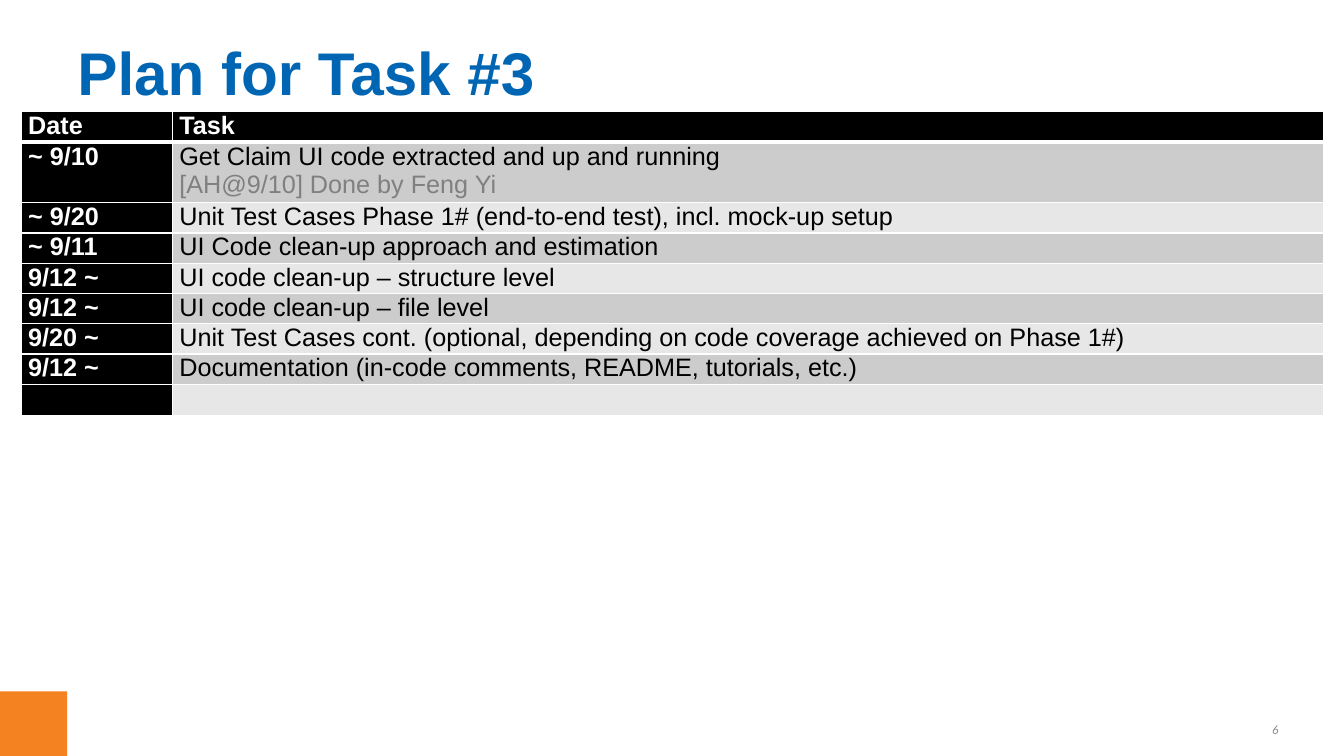
import pptx
import pptx.dml.color
import pptx.enum.shapes
import pptx.enum.text
import pptx.oxml
import pptx.oxml.ns
import pptx.util
from lxml import etree

SLIDE_WIDTH, SLIDE_HEIGHT = 13.33, 7.5
LINE_HEIGHT = 0.28
MIDDLE = pptx.enum.text.MSO_ANCHOR.MIDDLE
RIGHT = pptx.enum.text.PP_ALIGN.RIGHT

TITLE_FORMAT = {"name": "Arial", "size": 43, "bold": True, "color": "0066B3"}
NUMBER_FORMAT = {"name": "Calibri", "size": 9, "italic": True, "color": "8C8C8C"}
HEADING_FORMAT = {"name": "Arial", "size": 18, "bold": True, "color": "FFFFFF"}
TASK_FORMAT = {"name": "Arial", "size": 18, "bold": False, "color": "000000"}
REMARK_FORMAT = {**TASK_FORMAT, "color": "808080"}

PLAN = [
    ("Date", ["Task"]),
    ("~ 9/10", ["Get Claim UI code extracted and up and running",
                "[AH@9/10] Done by Feng Yi"]),
    ("~ 9/20", ["Unit Test Cases Phase 1# (end-to-end test), incl. mock-up setup"]),
    ("~ 9/11", ["UI Code clean-up approach and estimation"]),
    ("9/12 ~", ["UI code clean-up – structure level"]),
    ("9/12 ~", ["UI code clean-up – file level"]),
    ("9/20 ~", ["Unit Test Cases cont. (optional, depending on code coverage "
                "achieved on Phase 1#)"]),
    ("9/12 ~", ["Documentation (in-code comments, README, tutorials, etc.)"]),
    ("", [""]),
]


def color(hex_value):
    return pptx.dml.color.RGBColor.from_string(hex_value)


def inches(box):
    return [pptx.util.Inches(length) for length in box]


def write(paragraph, text, text_format):
    if not text:
        end = etree.SubElement(paragraph._p, pptx.oxml.ns.qn("a:endParaRPr"))
        end.set("sz", str(text_format["size"] * 100))
        return
    run = paragraph.add_run()
    run.text = text
    for attribute, value in text_format.items():
        if attribute == "color":
            run.font.color.rgb = color(value)
        elif attribute == "size":
            run.font.size = pptx.util.Pt(value)
        else:
            setattr(run.font, attribute, value)


def add_label(slide, box, text, text_format, alignment=None):
    frame = slide.shapes.add_textbox(*inches(box)).text_frame
    frame.word_wrap = True
    frame.vertical_anchor = MIDDLE
    frame.paragraphs[0].alignment = alignment
    write(frame.paragraphs[0], text, text_format)


def add_corner(slide, box):
    corner = slide.shapes.add_shape(
        pptx.enum.shapes.MSO_SHAPE.RECTANGLE, *inches(box))
    corner.shadow.inherit = False
    corner.fill.solid()
    corner.fill.fore_color.rgb = color("F58220")
    corner.line.fill.background()


def set_borders(cell, widths):
    properties = cell._tc.get_or_add_tcPr()
    for position, (side, width) in enumerate(widths.items()):
        border = pptx.oxml.parse_xml(
            f'<a:ln{side} {pptx.oxml.ns.nsdecls("a")} w="{pptx.util.Pt(width)}">'
            f'<a:solidFill><a:srgbClr val="FFFFFF"/></a:solidFill></a:ln{side}>')
        properties.insert(position, border)


def fill_cell(cell, lines, formats, background):
    margins = {"margin_left": 0.07, "margin_right": 0.07,
               "margin_top": 0, "margin_bottom": 0}
    for attribute, value in margins.items():
        setattr(cell, attribute, pptx.util.Inches(value))
    cell.fill.solid()
    cell.fill.fore_color.rgb = color(background)
    frame = cell.text_frame
    for number, (line, text_format) in enumerate(zip(lines, formats)):
        paragraph = frame.add_paragraph() if number else frame.paragraphs[0]
        write(paragraph, line, text_format)


def add_plan(slide, box):
    left, top, width, date_width = box
    line_count = sum(len(tasks) for _, tasks in PLAN)
    plan = slide.shapes.add_table(
        len(PLAN), 2, *inches((left, top, width, line_count * LINE_HEIGHT))).table
    plan.horz_banding = False
    for column, column_width in zip(plan.columns, (date_width, width - date_width)):
        column.width = pptx.util.Inches(column_width)

    for number, (date, tasks) in enumerate(PLAN):
        plan.rows[number].height = pptx.util.Inches(LINE_HEIGHT * len(tasks))
        date_cell, task_cell = plan.rows[number].cells
        fill_cell(date_cell, [date], [HEADING_FORMAT], "000000")
        if number == 0:
            fill_cell(task_cell, tasks, [HEADING_FORMAT], "000000")
        else:
            band = "CCCCCC" if number % 2 else "E7E7E7"
            fill_cell(task_cell, tasks, [TASK_FORMAT, REMARK_FORMAT], band)
        above, below = (3 if number == 1 else 1), (3 if number == 0 else 1)
        for cell in (date_cell, task_cell):
            set_borders(cell, {"L": 1, "R": 1, "T": above, "B": below})
    plan.rows[len(PLAN) - 1].height = pptx.util.Inches(0.31)


def add_footer(slide, box):
    left, top, width, height = box
    # Orange corner block
    add_corner(slide, (left, top, width * 0.05, height))
    # Slide number
    add_label(slide, (left + width - 1.11, top + 0.22, 0.56, 0.31),
              "6", NUMBER_FORMAT, RIGHT)


def main():
    presentation = pptx.Presentation()
    presentation.slide_width = pptx.util.Inches(SLIDE_WIDTH)
    presentation.slide_height = pptx.util.Inches(SLIDE_HEIGHT)
    slide = presentation.slides.add_slide(presentation.slide_layouts[6])

    add_footer(slide, (0, 6.86, SLIDE_WIDTH, SLIDE_HEIGHT - 6.86))
    # Heading
    add_label(slide, (0.67, 0.31, 12, 0.8), "Plan for Task #3", TITLE_FORMAT)
    # Schedule
    add_plan(slide, (0.21, 1.11, 12.92, 1.5))

    presentation.save("out.pptx")


if __name__ == "__main__":
    main()
